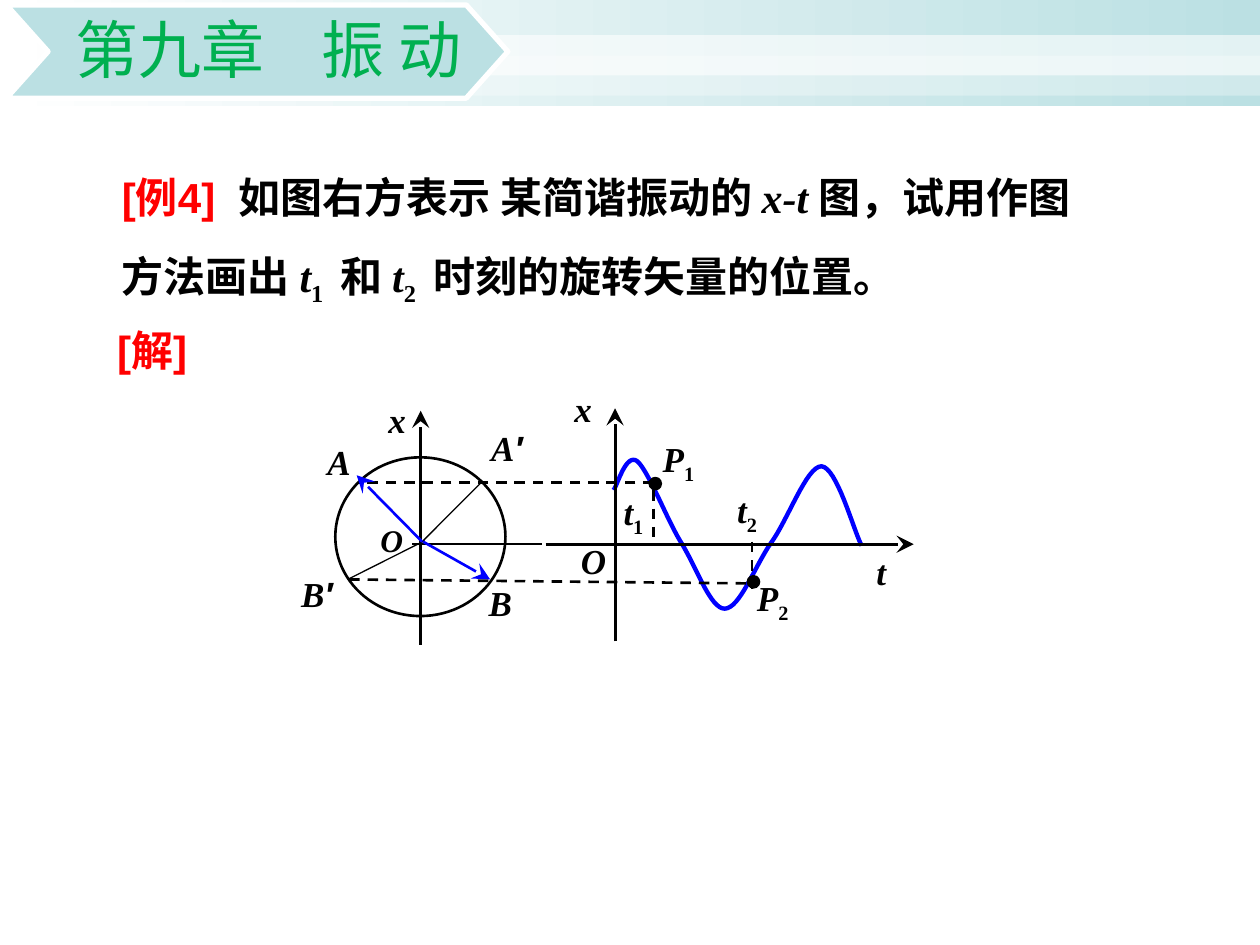
import pptx
import pptx.util
import pptx.dml.color
import pptx.enum.dml
import pptx.enum.shapes
import pptx.enum.text
import pptx.oxml
import pptx.oxml.ns
from pptx.util import Cm, Pt

COLORS = {"black": "000000", "white": "FFFFFF", "teal": "BBE0E3",
          "green": "00B050", "red": "FF0000", "blue": "0000FF"}
SERIF, SANS = "Times New Roman", "Arial"

TITLE = [("第九章", 0), (" ", 24.4), ("振 动", 0)]
QUESTION = [("[例4]", "label"), (" ", "gap"), ("如图右方表示 某简谐振动的 ", "text"),
            ("x-t ", "var"), ("图，试用作图方法画出 ", "text"), ("t", "var"), ("1 ", "sub"),
            (" ", "text"), ("和 ", "text"), ("t", "var"), ("2 ", "sub"),
            (" ", "text"), ("时刻的旋转矢量的位置。", "text")]
QUESTION = [run for run in QUESTION if run != (" ", "text")]
SOLUTION = [("[解]", "label")]
STYLES = {"label": (SANS, "red", False, {}), "text": (SANS, "black", False, {}),
          "gap": (SANS, "red", False, {"spc": "660"}),
          "var": (SERIF, "black", True, {}),
          "sub": (SERIF, "black", False, {"baseline": "-25000", "spc": "0"}),
          "prime": (SANS, "black", True, {})}
QUESTION = [part for text, style in QUESTION for part in
            ([(text[:1], "sub"), (" ", "space")] if style == "sub" else [(text, style)])]
STYLES["space"] = (SANS, "black", False, {"spc": "320"})

BANNER = (0.13, 0.14, 10.11, 1.88)
BANNER_POINTS = [(0.13, 0.1), (9.4, 0.1), (10.24, 1.04), (9.4, 1.98), (0.13, 1.98), (0.97, 1.04)]
GRADIENTS = [((7.11, 15.32, 2.39, 3.73), "white", "white"),
             ((0, 0, 25.4, 2.13), "white", "teal")]
STRIPES = [(0.71, 60), (1.12, 31)]

LINES = [
    ((11, 10.97), (18.42, 10.97), "black", 1.75, "arrow"),
    ((12.4, 12.93), (12.4, 8.23), "black", 1.75, "arrow"),
    ((8.48, 13), (8.48, 8.28), "black", 1.75, "arrow"),
    ((10.92, 10.97), (8.31, 10.97), "black", 1.5, "plain"),
    ((13.18, 9.88), (13.18, 10.95), "black", 1.5, "dash"),
    ((15.16, 10.92), (15.16, 11.89), "black", 1.5, "dash"),
    ((13.18, 9.73), (7.24, 9.73), "black", 1.5, "dash"),
    ((15.04, 11.76), (6.99, 11.68), "black", 1.5, "dash"),
    ((8.53, 10.9), (9.73, 9.7), "black", 0.75, "plain"),
    ((8.56, 10.9), (7.01, 11.68), "black", 0.75, "plain"),
    ((8.51, 10.92), (7.19, 9.58), "blue", 1.5, "arrow"),
    ((8.53, 10.92), (9.88, 11.68), "blue", 1.5, "arrow"),
]
CURVE_START = (12.37, 9.88)
CURVE = [
    ((12.45, 9.78), (12.62, 9.12), (12.85, 9.3)),
    ((13.08, 9.5), (13.46, 10.52), (13.77, 11)),
    ((14.07, 11.51), (14.33, 12.27), (14.61, 12.27)),
    ((14.91, 12.27), (15.21, 11.43), (15.54, 10.95)),
    ((15.88, 10.49), (16.26, 9.4), (16.56, 9.4)),
    ((16.87, 9.42), (17.2, 10.67), (17.37, 11)),
]
CIRCLE = (6.76, 9.22, 3.43, 3.2)
DOTS = [(13.21, 9.75), (15.19, 11.73)]
DOT_SIZE = 0.25
LABELS = [
    ("t", "", "", 17.42, 10.97, 0.69, 20), ("x", "", "", 11.33, 7.68, 0.86, 20),
    ("O", "", "", 11.46, 10.75, 1.02, 20), ("t", "1", "sub", 12.32, 9.76, 1.06, 20),
    ("t", "2", "sub", 14.61, 9.73, 1.06, 20), ("P", "1", "sub", 13.11, 8.69, 1.14, 20),
    ("P", "2", "sub", 15.01, 11.5, 1.14, 20), ("x", "", "", 7.58, 7.9, 0.86, 20),
    ("O", "", "", 7.42, 10.37, 0.97, 18), ("A", "", "", 6.35, 8.76, 0.97, 20),
    ("A", "′", "prime", 9.65, 8.48, 1.73, 20), ("B", "", "", 9.6, 11.6, 0.97, 20),
    ("B", "′", "prime", 5.82, 11.42, 1.22, 20),
]


def rgb(name):
    return pptx.dml.color.RGBColor.from_string(COLORS[name])


def add_child(parent, tag, **attrs):
    child = pptx.oxml.parse_xml(f"<a:{tag} {pptx.oxml.ns.nsdecls('a')}/>")
    for key, value in attrs.items():
        child.set(key, value)
    parent.append(child)


def paint(shape, fill=None, line=None, width=0.75):
    shape.shadow.inherit = False
    if fill:
        shape.fill.solid()
        shape.fill.fore_color.rgb = rgb(fill)
    else:
        shape.fill.background()
    if line:
        shape.line.color.rgb = rgb(line)
        shape.line.width = Pt(width)
    else:
        shape.line.fill.background()


def add_preset(s, kind, box, **look):
    shape = s.shapes.add_shape(kind, *map(Cm, box))
    paint(shape, **look)
    return shape


def add_outline(s, points, closed, **look):
    builder = s.shapes.build_freeform(*map(Cm, points[0]))
    builder.add_line_segments([(Cm(x), Cm(y)) for x, y in points[1:]], close=closed)
    paint(builder.convert_to_shape(), **look)


def add_line(s, start, end, color, width, kind):
    line = s.shapes.add_connector(pptx.enum.shapes.MSO_CONNECTOR.STRAIGHT,
                                  *map(Cm, start + end))
    line.line.color.rgb = rgb(color)
    line.line.width = Pt(width)
    if kind == "dash":
        line.line.dash_style = pptx.enum.dml.MSO_LINE.DASH
    if kind == "arrow":
        add_child(line.line._get_or_add_ln(), "tailEnd", type="stealth", w="lg", len="lg")
    add_child(line._element.spPr, "effectLst")


def add_text(s, box, runs, size, wrap=False, spacing=1.0):
    tf = s.shapes.add_textbox(*map(Cm, box)).text_frame
    tf.word_wrap = wrap
    tf.auto_size = pptx.enum.text.MSO_AUTO_SIZE.SHAPE_TO_FIT_TEXT
    p = tf.paragraphs[0]
    p.line_spacing = spacing
    for text, style in runs:
        r = p.add_run()
        r.text = text
        r.font.name, color, r.font.italic, attrs = STYLES[style]
        r.font.size, r.font.bold = Pt(size), True
        r.font.color.rgb = rgb(color)
        for key, value in attrs.items():
            r._r.get_or_add_rPr().set(key, value)


def sample_curve(start, segments, steps=16):
    points = [start]
    for b, c, d in segments:
        a = points[-1]
        for i in range(1, steps + 1):
            t = i / steps
            u = 1 - t
            weights = (u ** 3, 3 * u * u * t, 3 * u * t * t, t ** 3)
            points.append(tuple(sum(w * q[k] for w, q in zip(weights, (a, b, c, d)))
                                for k in (0, 1)))
    return points


def add_header(s):
    rect = pptx.enum.shapes.MSO_SHAPE.RECTANGLE
    for box, *ends in GRADIENTS:
        fill = add_preset(s, rect, box).fill
        fill.gradient()
        fill.gradient_angle = 0
        for position, (stop, color) in enumerate(zip(fill.gradient_stops, ends)):
            stop.color.rgb, stop.position = rgb(color), position
    for top, alpha in STRIPES:
        stripe = add_preset(s, rect, (0, top, 25.4, 0.81), fill="white")
        add_child(stripe.fill._xPr.solidFill[0], "alpha", val=str(alpha * 1000))
    add_outline(s, BANNER_POINTS, True, fill="teal", line="white", width=3)

    title = s.shapes.title
    s.shapes._spTree.append(title._element)
    title.left, title.top, title.width, title.height = map(Cm, BANNER)
    tf = title.text_frame
    tf.word_wrap = True
    tf.auto_size = pptx.enum.text.MSO_AUTO_SIZE.NONE
    tf.vertical_anchor = pptx.enum.text.MSO_ANCHOR.MIDDLE
    tf.margin_left, tf.margin_right = Cm(1.07), Cm(0.94)
    tf.margin_top = tf.margin_bottom = Cm(0.08)
    p = tf.paragraphs[0]
    p.alignment = pptx.enum.text.PP_ALIGN.RIGHT
    p.line_spacing = 0.9
    for text, gap in TITLE:
        r = p.add_run()
        r.text = text
        r.font.name, r.font.size, r.font.color.rgb = "Calibri", Pt(36), rgb("green")
        r._r.get_or_add_rPr().set("spc", str(round(gap * 100)))


def add_diagram(s):
    oval = pptx.enum.shapes.MSO_SHAPE.OVAL
    add_preset(s, oval, CIRCLE, line="black", width=1.5)
    add_outline(s, sample_curve(CURVE_START, CURVE), False, line="blue", width=2.5)
    for line in LINES:
        add_line(s, *line)
    for x, y in DOTS:
        box = (x - DOT_SIZE / 2, y - DOT_SIZE / 2, DOT_SIZE, DOT_SIZE)
        add_preset(s, oval, box, fill="black", line="black")
    for name, mark, style, x, y, width, size in LABELS:
        runs = [(name, "var")] + ([(mark, style)] if mark else [])
        add_text(s, (x, y, width, 1.12), runs, size)


def main():
    """Build the rotating-vector example slide."""
    prs = pptx.Presentation()
    prs.slide_width, prs.slide_height = Cm(25.4), Cm(19.05)
    s = prs.slides.add_slide(prs.slide_layouts[5])
    add_header(s)
    add_text(s, (2.21, 2.82, 20.45, 3.53), QUESTION, 24, wrap=True, spacing=1.5)
    add_text(s, (2.11, 6.41, 2.79, 1.27), SOLUTION, 24)
    add_diagram(s)
    prs.save("out.pptx")


if __name__ == "__main__":
    main()
